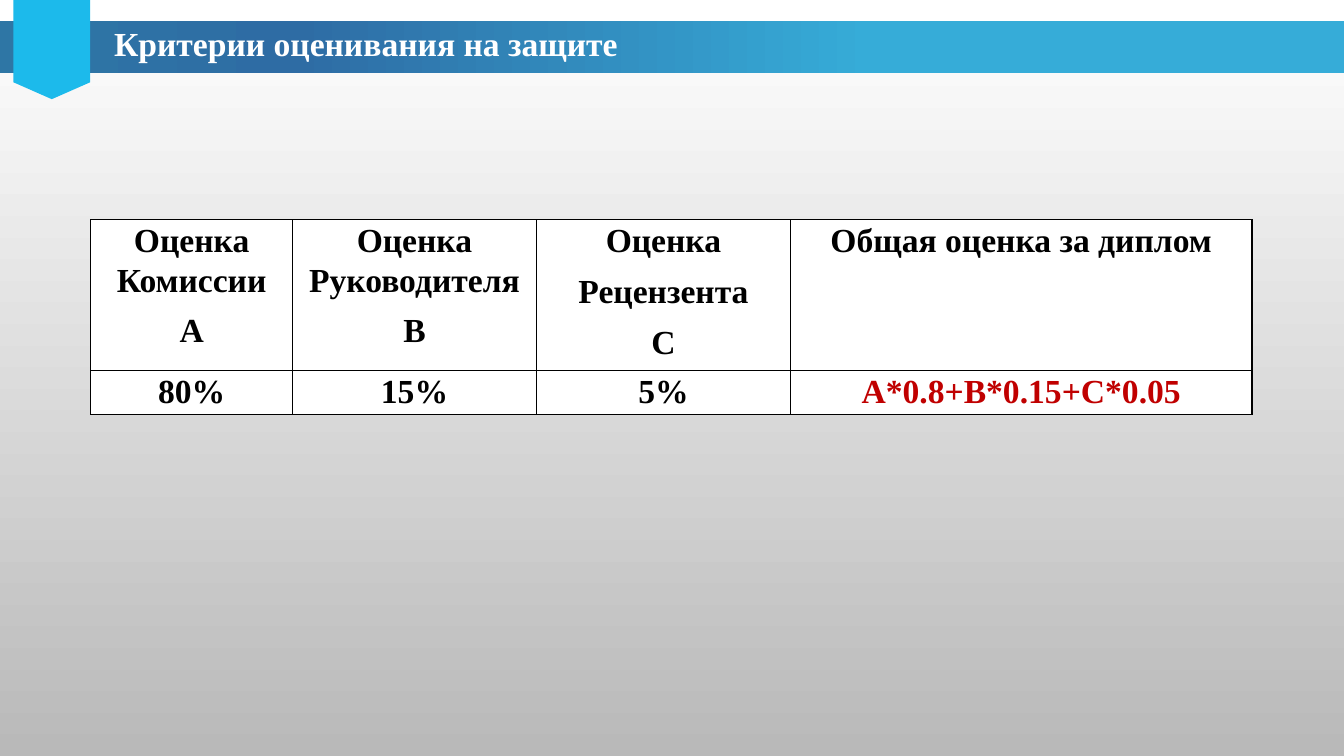
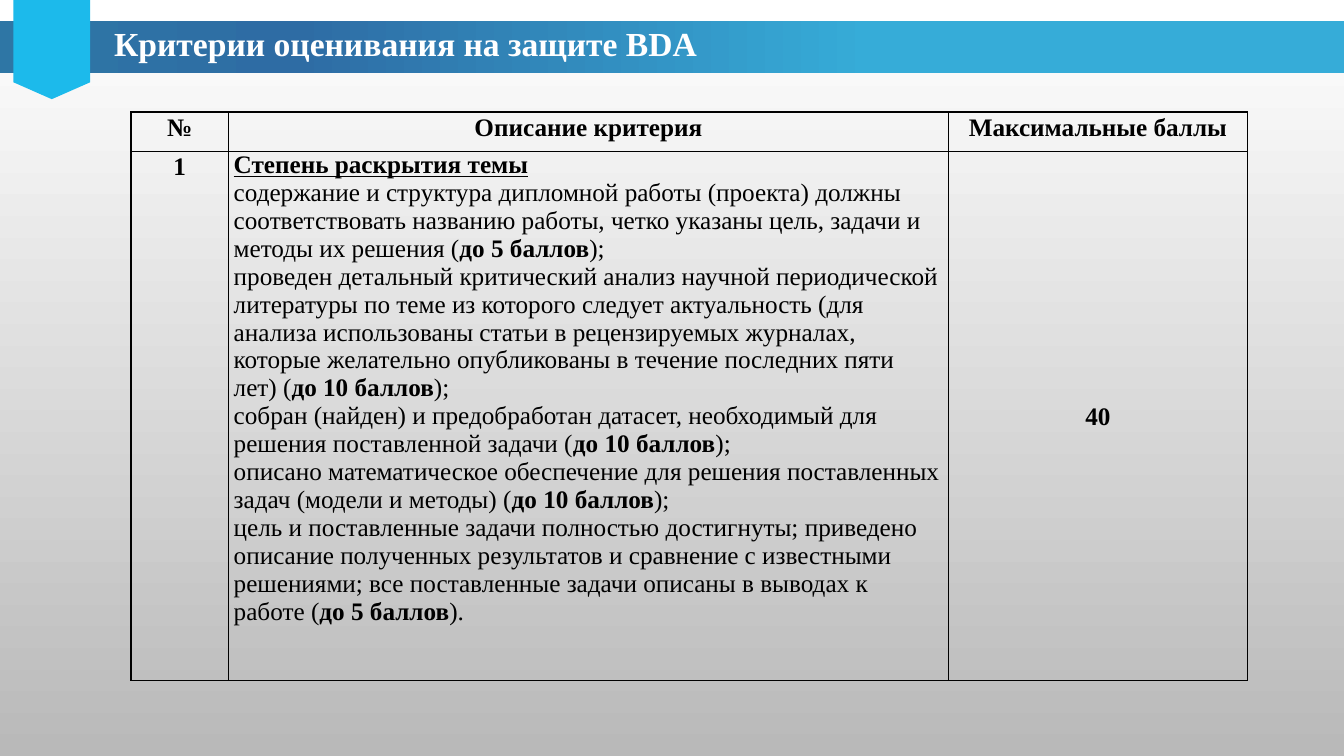
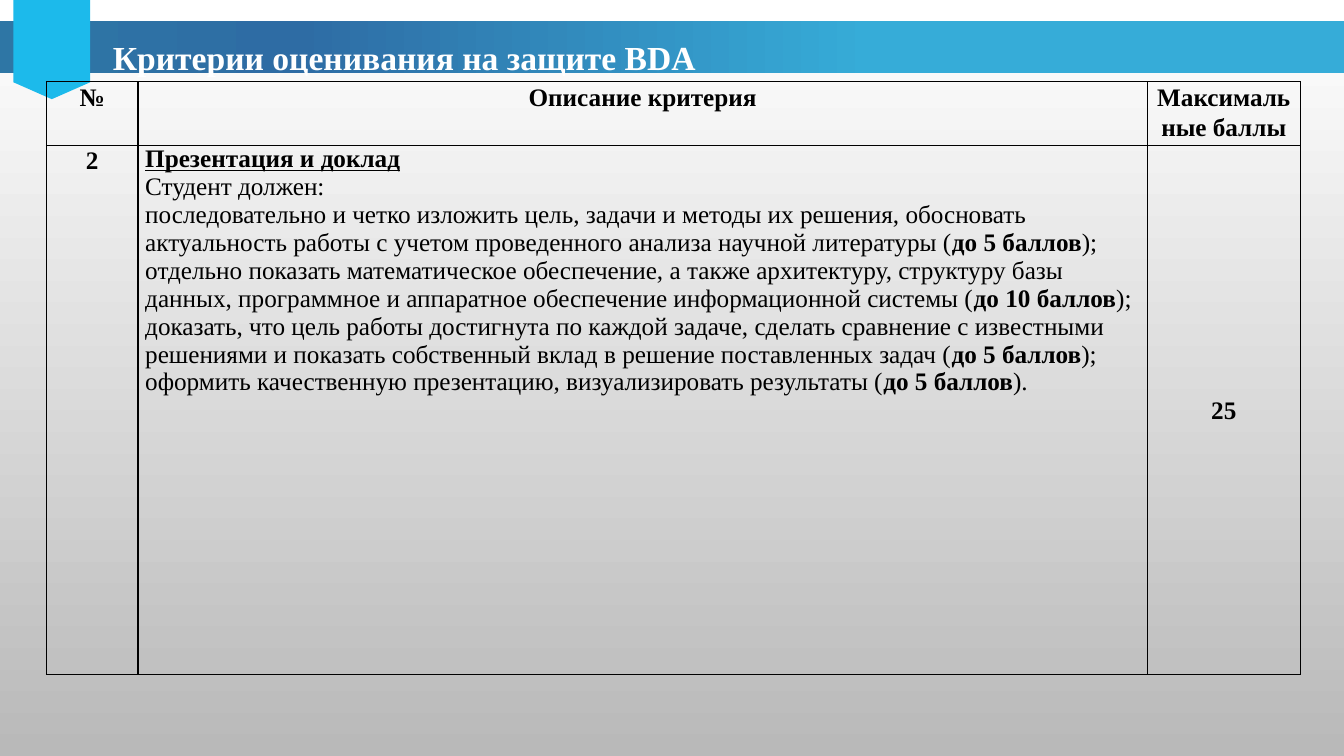
from dataclasses import dataclass

from lxml import etree
from pptx import Presentation
from pptx import util as u
from pptx.dml.color import RGBColor
from pptx.enum import shapes, text
from pptx.oxml.ns import qn


@dataclass(frozen=True)
class Theme:
    face: str = "Times New Roman"
    ink: str = "000000"
    white: str = "FFFFFF"
    red: str = "C00000"
    tab: str = "1CBAEB"
    back: tuple = ((0, "FFFFFF"), (100, "B9B9B9"))
    band: tuple = ((35, "36ACD8"), (78, "2E6CA4"), (100, "2E76A5"))
    large: int = 24
    small: int = 18


def shade(fill, root, stops, angle):
    fill.gradient()
    grad = root.find(".//" + qn("a:gradFill"))
    items = grad.find(qn("a:gsLst"))
    for old in list(items):
        items.remove(old)
    for place, color in stops:
        stop = etree.SubElement(items, qn("a:gs"), pos=str(place * 1000))
        etree.SubElement(stop, qn("a:srgbClr"), val=color)
    grad.find(qn("a:lin")).set("ang", str(angle * 60000))


class Deck:
    def __init__(self, theme):
        self.theme = theme
        self.prs = Presentation()
        self.prs.slide_width, self.prs.slide_height = u.Cm(33.87), u.Cm(19.05)
        master = self.prs.slide_master
        shade(master.background.fill, master.element, theme.back, 90)

    def slide(self, title, left=2.62, top=0.46):
        self.page = self.prs.slides.add_slide(self.prs.slide_layouts[5])
        kinds = shapes.MSO_SHAPE
        band = self.shape(2, kinds.RECTANGLE, 0, 0.53, 33.87, 1.3)
        shade(band.fill, band.element, self.theme.band, 180)
        tab = self.shape(3, kinds.PENTAGON, 0.05, 0.28, 2.51, 1.93)
        tab.rotation = 90
        tab.adjustments[0] = 0.22
        tab.fill.solid()
        tab.fill.fore_color.rgb = RGBColor.from_string(self.theme.tab)
        self.title(title, left, top)

    def shape(self, order, kind, *box):
        shape = self.page.shapes.add_shape(kind, *map(u.Cm, box))
        shape.shadow.inherit = False
        shape.line.fill.background()
        self.page.shapes.element.insert(order, shape.element)
        return shape

    def title(self, words, left, top):
        head = self.page.shapes.title
        head.left, head.top = u.Cm(left), u.Cm(top)
        head.width, head.height = u.Cm(21.2), u.Cm(1.28)
        frame = head.text_frame
        frame.text = words
        frame.vertical_anchor = text.MSO_ANCHOR.TOP
        para = frame.paragraphs[0]
        para.alignment = text.PP_ALIGN.LEFT
        self.font(para, self.theme.large, self.theme.white)
        para.font.bold = True

    def font(self, para, size, color):
        para.font.name = self.theme.face
        para.font.size = u.Pt(size)
        para.font.color.rgb = RGBColor.from_string(color)

    def table(self, left, top, cols, rows, data, size, fill=None, pads=(0.13, 0.13)):
        frame = self.page.shapes.add_table(
            len(rows), len(cols), u.Cm(left), u.Cm(top),
            u.Cm(sum(cols)), u.Cm(sum(rows)))
        table = frame.table
        table.first_row = table.horz_banding = False
        for col, width in zip(table.columns, cols):
            col.width = u.Cm(width)
        for row, height, words, pad in zip(table.rows, rows, data, pads):
            row.height = u.Cm(height)
            for cell, lines in zip(row.cells, words):
                self.cell(cell, pad, fill)
                self.label(cell, lines, size)
        return table

    def cell(self, cell, pad, fill):
        cell.margin_left = cell.margin_right = u.Cm(pad)
        cell.margin_top = cell.margin_bottom = 0
        props = cell._tc.get_or_add_tcPr()
        for side in "LRTB":
            line = etree.SubElement(props, qn("a:ln" + side), w=str(u.Pt(1)))
            paint = etree.SubElement(line, qn("a:solidFill"))
            etree.SubElement(paint, qn("a:srgbClr"), val=self.theme.ink)
        if fill:
            cell.fill.solid()
            cell.fill.fore_color.rgb = RGBColor.from_string(fill)
        else:
            cell.fill.background()

    def label(self, cell, lines, size):
        cell.text = lines
        for para in cell.text_frame.paragraphs:
            para.alignment = text.PP_ALIGN.CENTER
            para.line_spacing = 1.07
            para.space_after = u.Pt(8)
            self.font(para, size, self.theme.ink)
            para.font.bold = True

    def prose(self, cell, head, lines):
        frame = cell.text_frame
        frame.text = head
        first = frame.paragraphs[0]
        first.alignment = text.PP_ALIGN.LEFT
        first.line_spacing, first.space_after = 1.0, u.Pt(0)
        self.font(first, self.theme.small, self.theme.ink)
        first.font.bold = first.font.underline = True
        for line in lines:
            para = frame.add_paragraph()
            self.font(para, self.theme.small, self.theme.ink)
            for spot, part in enumerate(line.split("|")):
                run = para.add_run()
                run.text = part
                run.font.bold = spot % 2 == 1

    def rubric(self, left, top, cols, rows, number, score, head, lines, pad):
        data = [["№", "Описание критерия", "Максимальные баллы"],
                [number, "", score]]
        table = self.table(left, top, cols, rows, data, self.theme.small,
                           pads=(0.13, pad))
        self.prose(table.cell(1, 1), head, lines)
        table.cell(1, 2).vertical_anchor = text.MSO_ANCHOR.MIDDLE


def main():
    theme = Theme()
    deck = Deck(theme)

    deck.slide("Критерии оценивания на защите")
    grades = deck.table(
        2.29, 5.54, [5.08, 6.15, 6.4, 11.63], [3.8, 1.1],
        [["Оценка Комиссии\nА", "Оценка Руководителя\nВ",
          "Оценка\nРецензента\nС", "Общая оценка за диплом"],
         ["80%", "15%", "5%", "А*0.8+В*0.15+С*0.05"]],
        theme.large, theme.white, (0.18, 0.18))
    total = grades.cell(1, 3).text_frame.paragraphs[0]
    total.font.color.rgb = RGBColor.from_string(theme.red)

    deck.slide("Критерии оценивания на защите BDA")
    deck.rubric(
        3.3, 2.82, [2.46, 18.14, 7.54], [0.99, 13.34], "1", "40",
        "Степень раскрытия темы",
        ["cодержание и структура дипломной работы (проекта) должны соответствовать "
         "названию работы, четко указаны цель, задачи и методы их решения "
         "(|до 5 баллов|);",
         "проведен детальный критический анализ научной периодической литературы "
         "по теме из которого следует актуальность (для анализа использованы статьи "
         "в рецензируемых журналах, которые желательно опубликованы в течение "
         "последних пяти лет) (|до 10 баллов|);",
         "собран (найден) и предобработан датасет, необходимый для решения "
         "поставленной задачи (|до 10 баллов|);",
         "описано математическое обеспечение для решения поставленных задач "
         "(модели и методы) (|до 10 баллов|);",
         "цель и поставленные задачи полностью достигнуты; приведено описание "
         "полученных результатов и сравнение с известными решениями; все "
         "поставленные задачи описаны в выводах к работе (|до 5 баллов|)."],
        0.13)

    deck.slide("Критерии оценивания на защите BDA", 2.59, 0.79)
    deck.rubric(
        1.17, 2.06, [2.31, 25.43, 3.86], [1.6, 13.34], "2", "25",
        "Презентация и доклад",
        ["Студент должен:",
         "последовательно и четко изложить цель, задачи и методы их решения, "
         "обосновать актуальность работы с учетом проведенного анализа научной "
         "литературы (|до 5 баллов|);",
         "отдельно показать математическое обеспечение, а также архитектуру, "
         "структуру базы данных, программное и аппаратное обеспечение "
         "информационной системы (|до 10 баллов|);",
         "доказать, что цель работы достигнута по каждой задаче, сделать сравнение "
         "с известными решениями и показать собственный вклад в решение "
         "поставленных задач (|до 5 баллов|);",
         "оформить качественную презентацию, визуализировать результаты "
         "(|до 5 баллов|)."],
        0.18)

    deck.prs.save("out.pptx")


if __name__ == "__main__":
    main()
